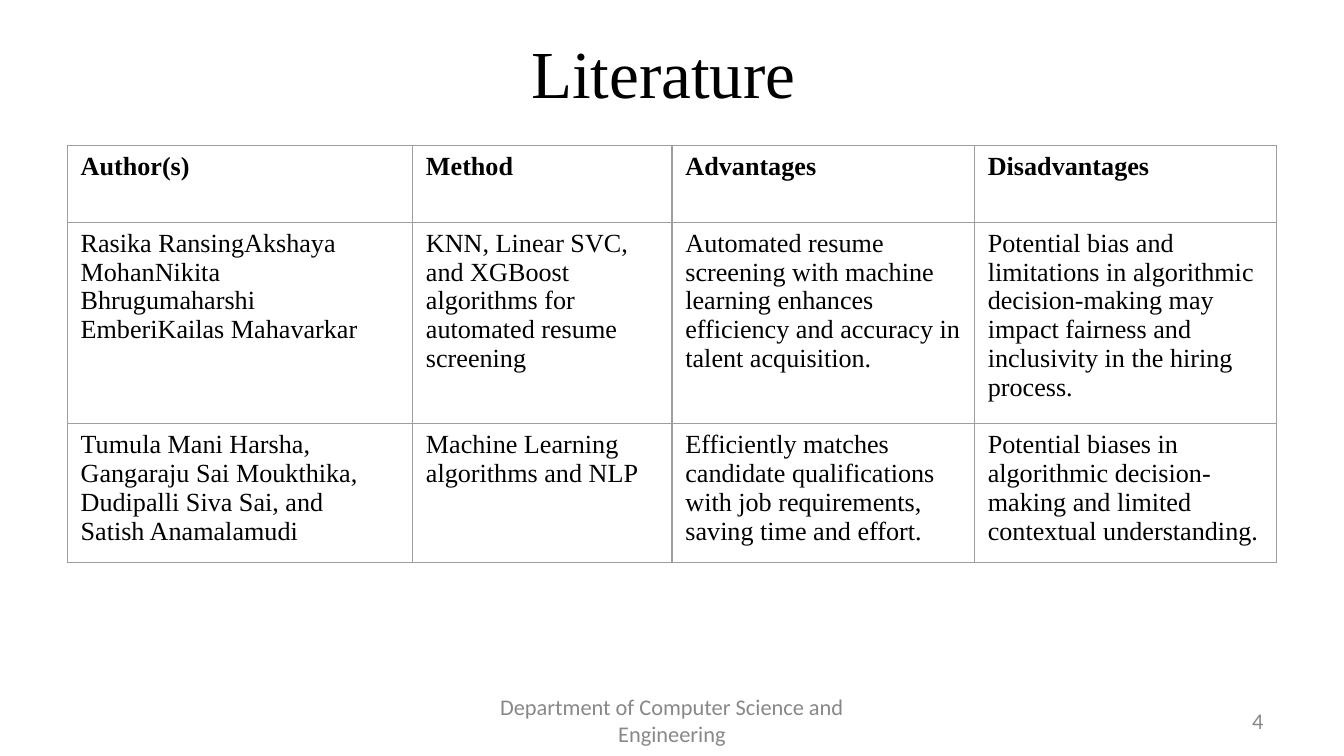
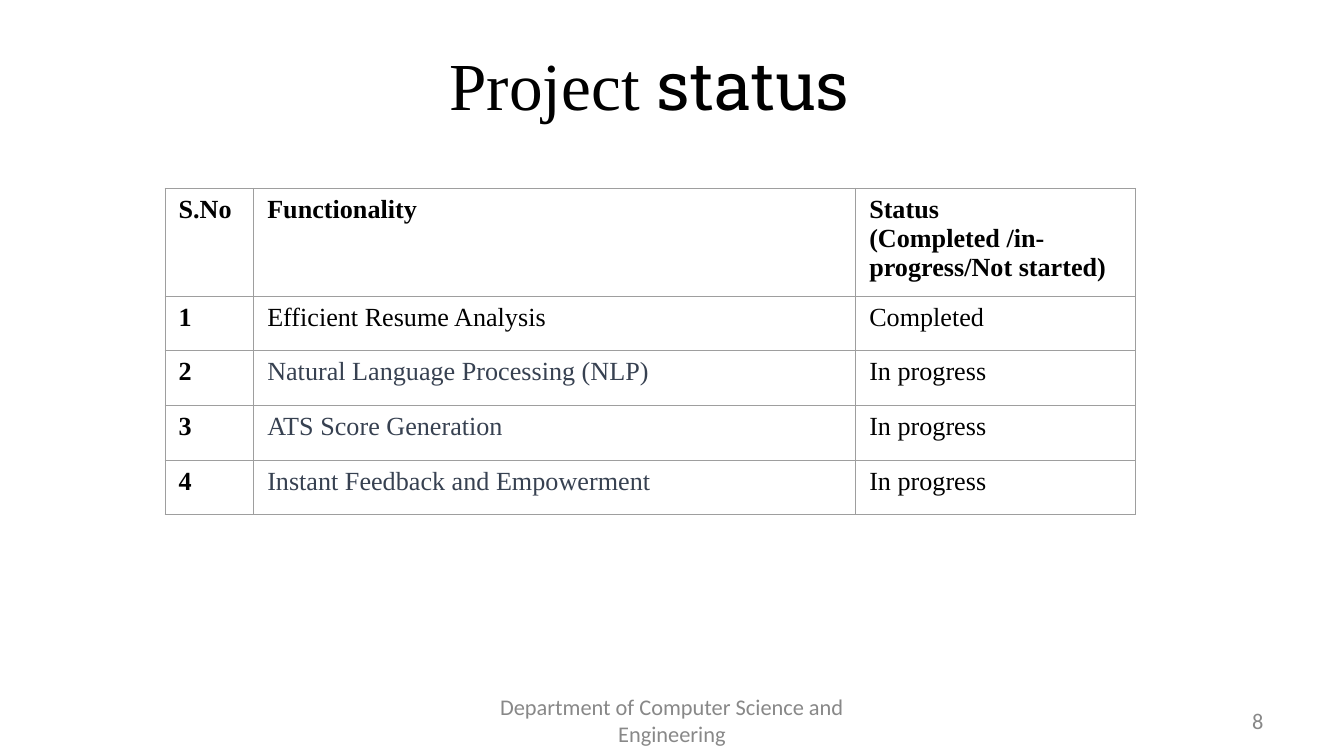
from lxml import etree
from pptx import Presentation
from pptx import util as u
from pptx.dml.color import RGBColor
from pptx.enum import text
from pptx.oxml import ns

COLORS = {"paper": "FFFFFF", "ink": "000000", "slate": "374151",
          "footer": "888888", "border": "9E9E9E"}
SERIF, SLAB, SANS = "Times New Roman", "Roboto Slab", "Calibri"
TITLE = {"size": u.Pt(36), "name": SERIF}
FOOTER = {"size": u.Pt(12), "name": SANS}
CELL = {"size": u.Pt(14), "name": SERIF, "bold": False}
HEADER = CELL | {"bold": True}
LEFT, CENTER, RIGHT = (text.PP_ALIGN.LEFT, text.PP_ALIGN.CENTER,
                       text.PP_ALIGN.RIGHT)


def write(para, words, style, color="ink"):
    span = para.add_run()
    span.text = words
    for key, value in style.items():
        setattr(span.font, key, value)
    span.font.color.rgb = RGBColor.from_string(COLORS[color])


def add_label(page, box, spans, align, color="ink"):
    frame = page.shapes.add_textbox(*map(u.Pt, box)).text_frame
    settings = {"word_wrap": True, "vertical_anchor": text.MSO_ANCHOR.MIDDLE}
    for key, value in settings.items():
        setattr(frame, key, value)
    para = frame.paragraphs[0]
    para.alignment = align
    for words, style in spans:
        write(para, words, style, color)


def add_footer(page, number):
    top, height = 375, 22
    add_label(page, (516, top, 168, height), [(str(number), FOOTER)],
              RIGHT, "footer")
    add_label(page, (246, top, 228, height),
              [("Department of Computer Science and Engineering", FOOTER)],
              CENTER, "footer")


def add_title(page, left, top, spans):
    add_label(page, (left, top, 482, 50), spans, CENTER)


def outline(cell):
    properties = cell._tc.get_or_add_tcPr()
    for side in ("lnL", "lnR", "lnT", "lnB"):
        line = etree.SubElement(properties, ns.qn(f"a:{side}"),
                                w=str(u.Pt(0.75)))
        fill = etree.SubElement(line, ns.qn("a:solidFill"))
        etree.SubElement(fill, ns.qn("a:srgbClr"), val=COLORS["border"])


def add_grid(page, left, top, widths, row_height, rows, style_of):
    box = (left, top, sum(widths), row_height * len(rows))
    table = page.shapes.add_table(len(rows), len(widths),
                                  *map(u.Pt, box)).table
    for key in ("first_row", "horz_banding"):
        setattr(table, key, False)
    for column, width in zip(table.columns, widths):
        column.width = u.Pt(width)
    for r, row in enumerate(rows):
        table.rows[r].height = u.Pt(row_height)
        for c, words in enumerate(row):
            cell = table.cell(r, c)
            outline(cell)
            cell.fill.solid()
            cell.fill.fore_color.rgb = RGBColor.from_string(COLORS["paper"])
            for i, line in enumerate(words.split("\n")):
                frame = cell.text_frame
                para = frame.add_paragraph() if i else frame.paragraphs[0]
                para.alignment = LEFT
                write(para, line, *style_of(r, c))


def literature_style(row, column):
    return (CELL if row else HEADER), "ink"


def status_style(row, column):
    style = CELL if row and column else HEADER
    return style, "slate" if row > 1 and column == 1 else "ink"


def build_literature(page):
    add_footer(page, 4)
    add_title(page, 119, 13.5, [("Literature ", TITLE)])
    add_grid(page, 36, 78, (185, 139, 162, 162), 41, [
        ("Author(s)", "Method", "Advantages", "Disadvantages"),
        ("Rasika RansingAkshaya MohanNikita Bhrugumaharshi "
         "EmberiKailas Mahavarkar",
         "KNN, Linear SVC, and XGBoost algorithms for automated resume "
         "screening",
         "Automated resume screening with machine learning enhances "
         "efficiency and accuracy in talent acquisition.",
         "Potential bias and limitations in algorithmic decision-making may "
         "impact fairness and inclusivity in the hiring process."),
        ("Tumula Mani Harsha,\nGangaraju Sai Moukthika,\n"
         "Dudipalli Siva Sai, and\nSatish Anamalamudi",
         "Machine Learning algorithms and NLP",
         "Efficiently matches candidate qualifications with job "
         "requirements, saving time and effort.",
         "Potential biases in algorithmic decision-making and limited "
         "contextual understanding."),
    ], literature_style)


def build_status(page):
    add_footer(page, 8)
    add_title(page, 107, 20, [("Project", TITLE),
                              (" status", TITLE | {"name": SLAB})])
    tasks = [("Efficient Resume Analysis", "Completed"),
             ("Natural Language Processing (NLP)", "In progress"),
             ("ATS Score Generation", "In progress"),
             ("Instant Feedback and Empowerment", "In progress")]
    header = ("S.No", "Functionality",
              "Status\n(Completed /in-progress/Not started)")
    rows = [header] + [(str(n), *task) for n, task in enumerate(tasks, 1)]
    add_grid(page, 88.5, 101, (47.5, 322.5, 150), 29.3, rows, status_style)


def main():
    deck = Presentation()
    deck.slide_width, deck.slide_height = u.Pt(720), u.Pt(405)
    for build in (build_literature, build_status):
        page = deck.slides.add_slide(deck.slide_layouts[6])
        page.background.fill.solid()
        page.background.fill.fore_color.rgb = RGBColor.from_string(
            COLORS["paper"])
        build(page)
    deck.save("out.pptx")


if __name__ == "__main__":
    main()
